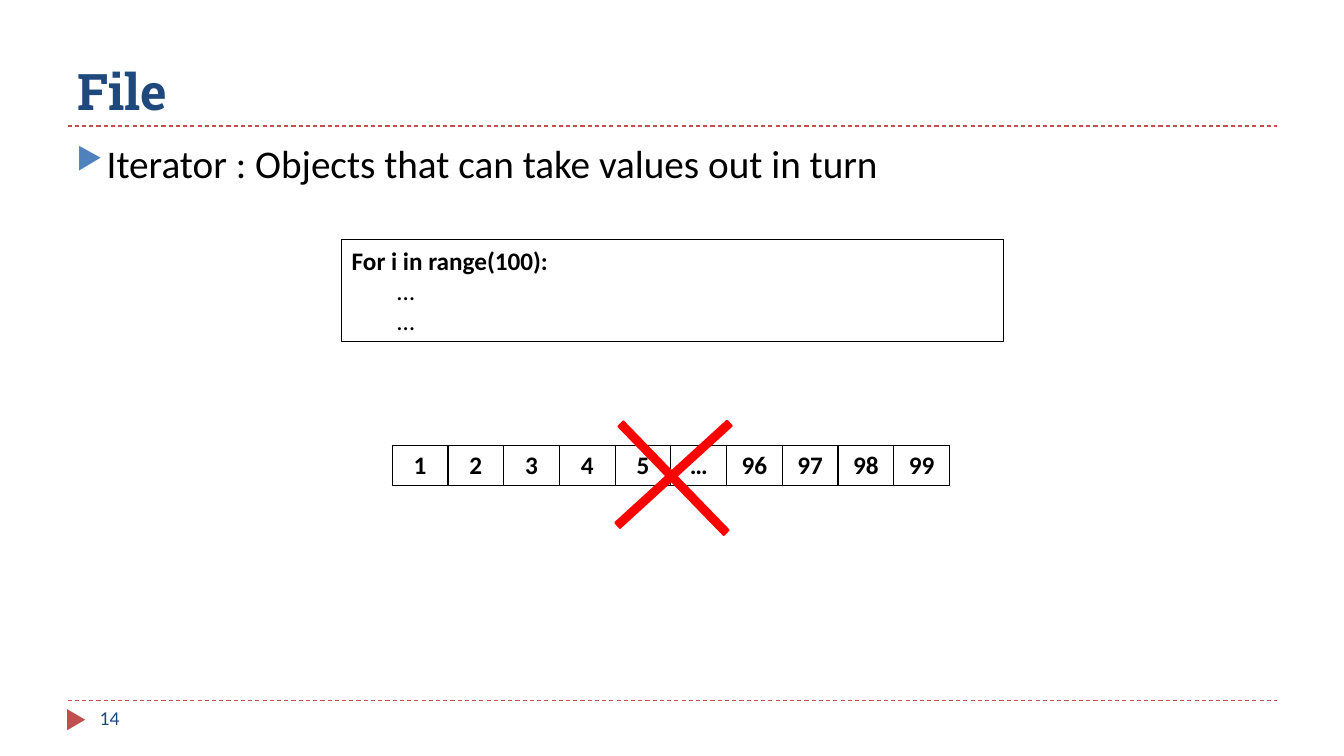
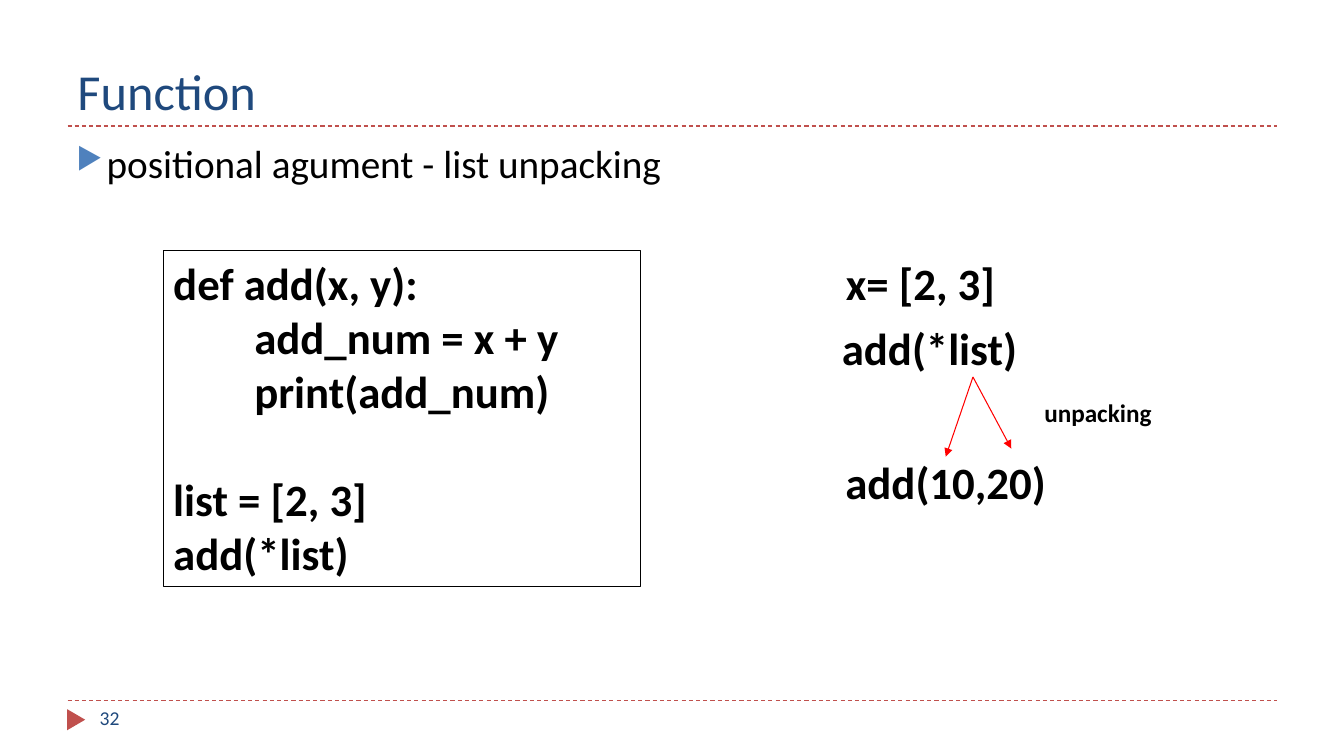
"""Builds two lecture slides on iterators and list unpacking."""
import lxml.etree
import pptx
import pptx.dml.color
import pptx.enum.dml
import pptx.enum.shapes
import pptx.enum.text
import pptx.oxml.ns
import pptx.util

Inches = pptx.util.Inches
Pt = pptx.util.Pt
SHAPE = pptx.enum.shapes.MSO_SHAPE
ALIGN = pptx.enum.text.PP_ALIGN
ANCHOR = pptx.enum.text.MSO_ANCHOR
BLACK, WHITE, RED = "000000", "FFFFFF", "FF0000"
NAVY, BLUE, BRICK = "1F497D", "4F81BD", "C0504D"


def color(code):
    return pptx.dml.color.RGBColor.from_string(code)


def node(parent, tag, **attrs):
    return lxml.etree.SubElement(parent, pptx.oxml.ns.qn(tag), attrs)


def paint(item, code, width):
    item.line.color.rgb = color(code)
    item.line.width = Pt(width)


def write(para, text, size, tint=BLACK, bold=False, font="Calibri"):
    run = para.add_run()
    run.text = text
    run.font.size = Pt(size)
    run.font.name = font
    run.font.bold = bold
    run.font.color.rgb = color(tint)


def frame(slide, left, top, width, height):
    box = slide.shapes.add_textbox(Inches(left), Inches(top), Inches(width), Inches(height))
    box.text_frame.word_wrap = True
    return box


def label(slide, left, top, text, size, height=0.64):
    para = frame(slide, left, top, 3, height).text_frame.paragraphs[0]
    para.alignment = ALIGN.CENTER
    write(para, text, size, bold=True)


def code(slide, place, rows, size):
    box = frame(slide, *place)
    paint(box, BLACK, 0.75)
    for i, (text, bold, gap) in enumerate(rows):
        paras = box.text_frame
        para = paras.add_paragraph() if i else paras.paragraphs[0]
        if gap:
            para.space_before = Pt(gap)
        write(para, text, size, bold=bold)


def line(slide, start, end, tint, dash=False, arrow=False):
    link = slide.shapes.add_connector(
        pptx.enum.shapes.MSO_CONNECTOR.STRAIGHT, *map(Inches, start + end))
    paint(link, tint, 0.75)
    if dash:
        link.line.dash_style = pptx.enum.dml.MSO_LINE.DASH
    if arrow:
        node(link.line._get_or_add_ln(), "a:tailEnd", type="triangle")
    node(link._element.spPr, "a:effectLst")


def solid(slide, kind, place, turn, tint):
    shape = slide.shapes.add_shape(kind, *map(Inches, place))
    shape.shadow.inherit = False
    shape.rotation = turn
    shape.fill.solid()
    shape.fill.fore_color.rgb = color(tint)
    shape.line.fill.background()
    return shape


def bullet(slide, text):
    para = frame(slide, 0.66, 1.33, 12, 5.4).text_frame.paragraphs[0]
    props = para._p.get_or_add_pPr()
    props.set("marL", str(Inches(0.3)))
    props.set("indent", str(Inches(-0.3)))
    node(node(props, "a:buClr"), "a:srgbClr", val=BLUE)
    node(props, "a:buSzPct", val="76000")
    node(props, "a:buChar", char="▶")
    write(para, text, 28)


def strip(slide, left, top, words, width, height):
    grid = slide.shapes.add_table(
        1, len(words), Inches(left), Inches(top),
        Inches(width * len(words)), Inches(height)).table
    grid.first_row = grid.horz_banding = False
    for i, word in enumerate(words):
        grid.columns[i].width = Inches(width)
        cell = grid.cell(0, i)
        para = cell.text_frame.paragraphs[0]
        para.alignment = ALIGN.CENTER
        write(para, word, 18, bold=True)
        props = cell._tc.get_or_add_tcPr()
        for side in ("a:lnL", "a:lnR", "a:lnT", "a:lnB"):
            edge = node(props, side, w=str(Pt(1)))
            node(node(edge, "a:solidFill"), "a:srgbClr", val=BLACK)
        cell.fill.solid()
        cell.fill.fore_color.rgb = color(WHITE)


def page(deck, title, number, topic, **style):
    slide = deck.slides.add_slide(deck.slide_layouts[6])
    for y in (6.95, 1.25):
        line(slide, (0.67, y), (12.67, y), BRICK, dash=True)
    solid(slide, SHAPE.ISOSCELES_TRIANGLE, (0.65, 7.05, 0.21, 0.18), 90, BRICK)
    head = frame(slide, 0.67, 0.17, 12, 1.08).text_frame
    head.vertical_anchor = ANCHOR.BOTTOM
    write(head.paragraphs[0], title, 36, NAVY, **style)
    foot = frame(slide, 0.89, 6.95, 2.89, 0.4).text_frame
    write(foot.paragraphs[0], number, 14, NAVY)
    bullet(slide, topic)
    return slide


def file_page(deck):
    slide = page(deck, "File", "14", "Iterator : Objects that can take values out in turn",
                 bold=True, font="Roboto Slab")
    code(slide, (3.39, 2.38, 6.56, 1.01), [
        ("For i in range(100):", True, 0),
        ("        …", False, 0),
        ("        …", False, 0)], 18)
    strip(slide, 3.89, 4.42, "1 2 3 4 5 … 96 97 98 99".split(), 0.553, 0.4)
    for top, turn in ((4.56, 317.6), (4.6, 45.9)):
        bar = solid(slide, SHAPE.MATH_MINUS, (5.66, top, 2.04, 0.29), turn, RED)
        paint(bar, RED, 1.5)


def function_page(deck):
    slide = page(deck, "Function", "32", "positional agument - list unpacking")
    code(slide, (1.62, 2.49, 4.73, 3.33), [
        ("def add(x, y):", True, 0),
        ("        add_num = x + y", True, 0),
        ("        print(add_num)", True, 0),
        ("list = [2, 3]", True, 39),
        ("add(*list)", True, 0)], 32)
    label(slide, 7.63, 2.49, "x= [2, 3]", 32)
    label(slide, 7.72, 3.13, "add(*list)", 32)
    label(slide, 7.88, 4.46, "add(10,20)", 32)
    for end in ((9.38, 4.53), (10.03, 4.45)):
        line(slide, (9.65, 3.74), end, RED, arrow=True)
    label(slide, 9.39, 3.89, "unpacking", 18, 0.4)


def main():
    deck = pptx.Presentation()
    deck.slide_width = Inches(13.33)
    deck.slide_height = Inches(7.5)
    file_page(deck)
    function_page(deck)
    deck.save("out.pptx")


if __name__ == "__main__":
    main()
